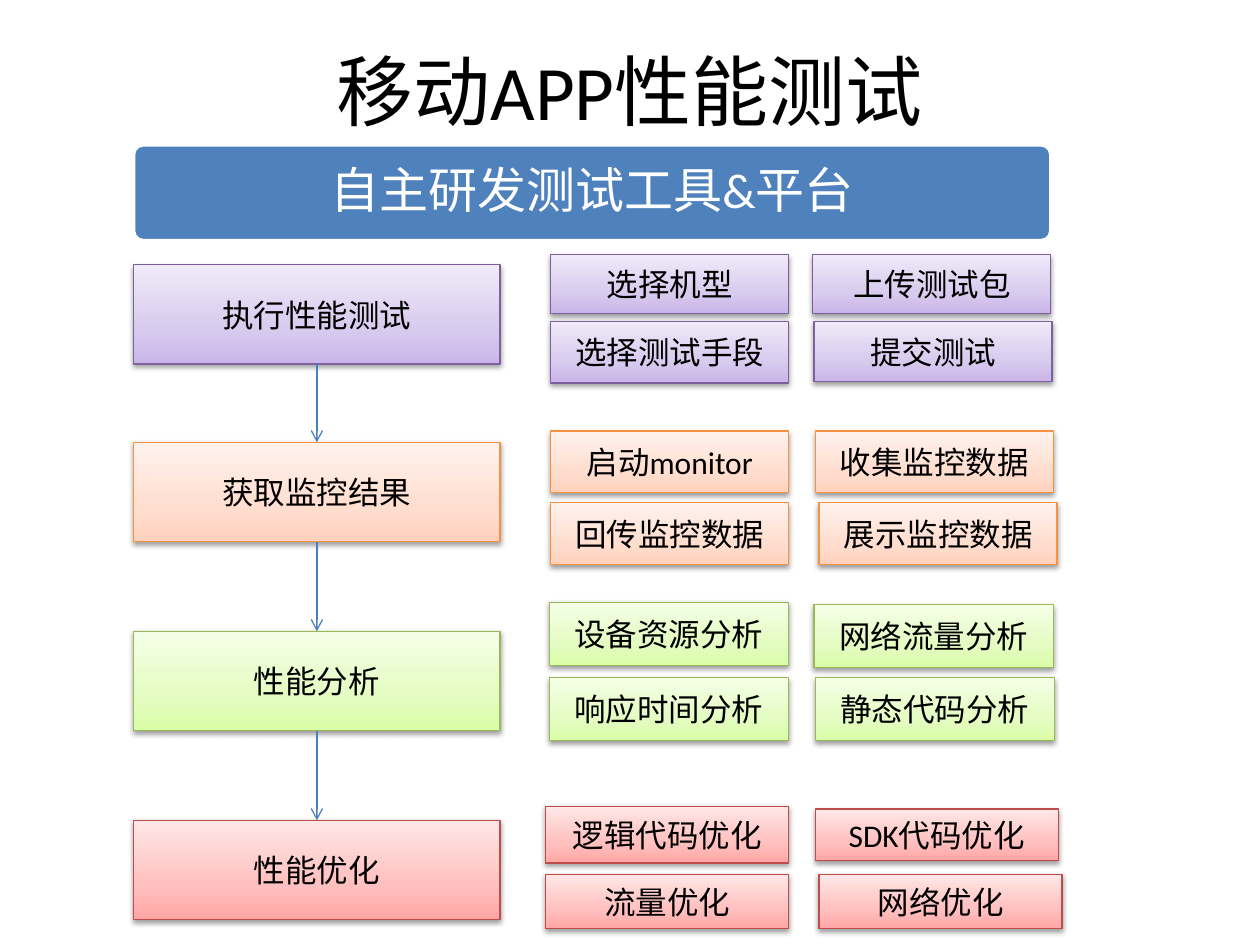
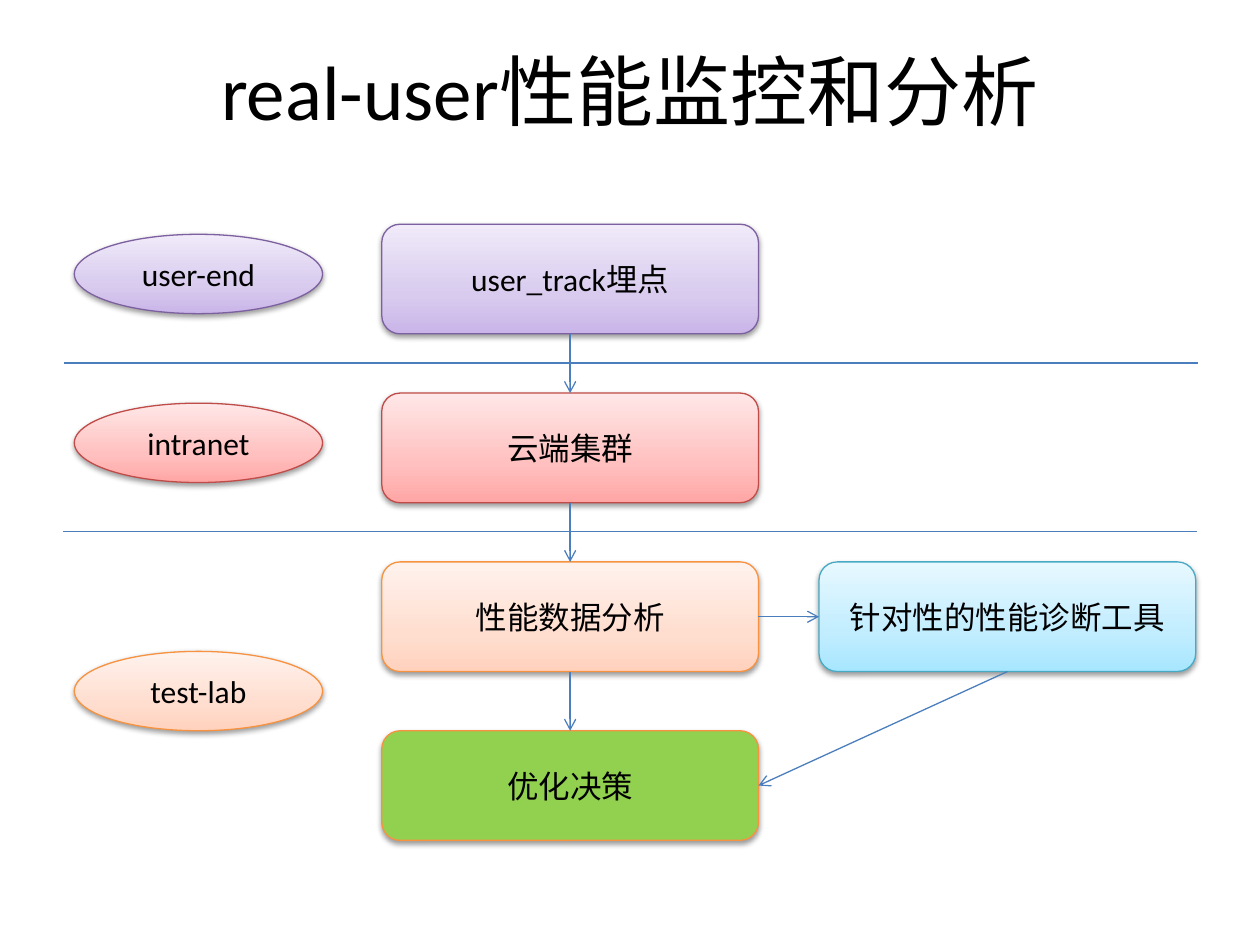
from lxml import etree
from pptx import Presentation
from pptx.dml.color import RGBColor
from pptx.enum import shapes, text
from pptx.oxml import ns
from pptx.util import Inches, Pt

FONT = "Calibri"
COLORS = {"text": "000000", "white": "FFFFFF", "banner": "4F81BD",
          "connector": "4B7EBC", "decision": "92D050"}
GRADIENTS = {
    "purple": ("C9B5E8", "D8CBEE", "F0EAF9"),
    "orange": ("FFD2BD", "FFDED0", "FFF2ED"),
    "green": ("DAFDA7", "E4FCC2", "F5FFE7"),
    "red": ("FFA6A5", "FFC0BF", "FFE7E7"),
    "blue": ("A7E6FF", "C1EDFF", "E7F8FF"),
}
BORDERS = {"purple": "7D60A0", "orange": "F69240", "green": "98B955",
           "red": "BF4C48", "blue": "46AAC5"}
SHAPE = shapes.MSO_SHAPE
TOP, LEFT, BOTTOM, RIGHT = range(4)

STAGES = [
    ("执行性能测试", "purple", 2.1, 1.89, [
        ("选择机型", 4.37, 2.02, 0.47), ("上传测试包", 6.45, 2.02, 0.47),
        ("选择测试手段", 4.37, 2.55, 0.49), ("提交测试", 6.46, 2.55, 0.48)]),
    ("获取监控结果", "orange", 3.51, 1.89, [
        ("启动monitor", 4.37, 3.42, 0.49), ("收集监控数据", 6.47, 3.42, 0.49),
        ("回传监控数据", 4.37, 3.99, 0.49), ("展示监控数据", 6.5, 3.99, 0.49)]),
    ("性能分析", "green", 5.01, 1.9, [
        ("设备资源分析", 4.36, 4.78, 0.5), ("网络流量分析", 6.46, 4.8, 0.5),
        ("响应时间分析", 4.36, 5.38, 0.5), ("静态代码分析", 6.47, 5.38, 0.5)]),
    ("性能优化", "red", 6.51, 1.93, [
        ("逻辑代码优化", 4.33, 6.4, 0.45), ("SDK代码优化", 6.47, 6.42, 0.41),
        ("流量优化", 4.33, 6.94, 0.43), ("网络优化", 6.5, 6.94, 0.43)]),
]


def rgb(value):
    return RGBColor.from_string(value)


def add_xml(parent, tag, **attrs):
    return etree.SubElement(parent, ns.qn(tag), attrs)


class Deck:
    def __init__(self):
        self.prs = Presentation()
        self.prs.slide_width = Inches(10)
        self.prs.slide_height = Inches(7.5)

    def slide(self, title):
        self.s = self.prs.slides.add_slide(self.prs.slide_layouts[6])
        box = self.s.shapes.add_textbox(*map(Inches, (0.5, 0.3, 9, 1.25)))
        self.label(box, title, 44)

    def label(self, sp, words, size, color="text", anchor=text.MSO_ANCHOR.TOP):
        tf = sp.text_frame
        tf.text = words
        tf.word_wrap = True
        tf.vertical_anchor = anchor
        p = tf.paragraphs[0]
        p.alignment = text.PP_ALIGN.CENTER
        font = p.runs[0].font
        font.name = FONT
        font.size = Pt(size)
        font.color.rgb = rgb(COLORS[color])
        return p

    def shape(self, kind, at, fill, border, width):
        sp = self.s.shapes.add_shape(kind, *map(Inches, at))
        sp.shadow.inherit = False
        if fill in GRADIENTS:
            self.gradient(sp, GRADIENTS[fill])
        else:
            sp.fill.solid()
            sp.fill.fore_color.rgb = rgb(COLORS[fill])
        sp.line.color.rgb = rgb(border)
        sp.line.width = Pt(width)
        return sp

    def gradient(self, sp, stops):
        sp.fill.gradient()
        sp.fill.gradient_angle = 90
        stop_list = sp.element.spPr.find(".//" + ns.qn("a:gsLst"))
        for stop in list(stop_list):
            stop_list.remove(stop)
        for pos, color in zip((0, 35000, 100000), stops):
            stop = add_xml(stop_list, "a:gs", pos=str(pos))
            add_xml(stop, "a:srgbClr", val=color)

    def node(self, words, at, theme, kind=SHAPE.RECTANGLE, fill=None):
        sp = self.shape(kind, at, fill or theme, BORDERS[theme], 0.75)
        effects = sp.element.spPr.find(ns.qn("a:effectLst"))
        shadow = add_xml(effects, "a:outerShdw", blurRad="40000", dist="20000",
                         dir="5400000", rotWithShape="0")
        color = add_xml(shadow, "a:srgbClr", val="000000")
        add_xml(color, "a:alpha", val="38000")
        self.label(sp, words, 18, anchor=text.MSO_ANCHOR.MIDDLE)
        return sp

    def banner(self, words, at):
        sp = self.shape(SHAPE.ROUNDED_RECTANGLE, at, "banner", COLORS["white"], 2)
        sp.adjustments[0] = 0.1
        p = self.label(sp, words, 28, "white", text.MSO_ANCHOR.MIDDLE)
        p.line_spacing = 0.9

    def line(self, x1, y1, x2, y2):
        cn = self.s.shapes.add_connector(
            shapes.MSO_CONNECTOR.STRAIGHT, *map(Inches, (x1, y1, x2, y2)))
        cn.line.color.rgb = rgb(COLORS["connector"])
        cn.line.width = Pt(0.75)
        add_xml(cn.element.spPr, "a:effectLst")
        return cn

    def arrow(self, start, end, start_side=BOTTOM, end_side=TOP):
        cn = self.line(0, 0, 1, 1)
        cn.begin_connect(start, start_side)
        cn.end_connect(end, end_side)
        add_xml(cn.element.spPr.find(ns.qn("a:ln")), "a:tailEnd", type="arrow")

    def chain(self, nodes):
        for start, end in zip(nodes, nodes[1:]):
            self.arrow(start, end)


def testing_slide(deck):
    deck.slide("移动APP性能测试")
    stages = [deck.node(name, (1.06, top, 2.91, 0.79), theme)
              for name, theme, top, _, _ in STAGES]
    deck.chain(stages)
    for _, theme, _, width, details in STAGES:
        for words, left, top, height in details:
            deck.node(words, (left, top, width, height), theme)
    deck.banner("自主研发测试工具&平台", (1.06, 1.15, 7.28, 0.76))


def monitoring_slide(deck):
    deck.slide("real-user性能监控和分析")
    rounded = SHAPE.ROUNDED_RECTANGLE
    width, height, first, pitch = 2.99, 0.87, 1.78, 1.34
    steps = [("user_track埋点", "purple", None), ("云端集群", "red", None),
             ("性能数据分析", "orange", None), ("优化决策", "orange", "decision")]
    nodes = [deck.node(words, (3.03, first + i * pitch, width, height),
                       theme, rounded, fill)
             for i, (words, theme, fill) in enumerate(steps)]
    analysis, decision = nodes[2:]
    tool = deck.node("针对性的性能诊断工具",
                     (6.5, first + 2 * pitch, width, height), "blue", rounded)
    deck.chain(nodes)
    deck.arrow(analysis, tool, RIGHT, LEFT)
    deck.arrow(tool, decision, BOTTOM, RIGHT)
    for left, y in ((0.5, 4.22), (0.51, 2.88)):
        deck.line(left, y, left + 9, y)
    for words, top, theme in (("user-end", 1.86, "purple"),
                              ("intranet", 3.2, "red"),
                              ("test-lab", 5.17, "orange")):
        deck.node(words, (0.59, top, 1.97, 0.63), theme, SHAPE.OVAL)


def main():
    deck = Deck()
    testing_slide(deck)
    monitoring_slide(deck)
    deck.prs.save("out.pptx")


if __name__ == "__main__":
    main()
